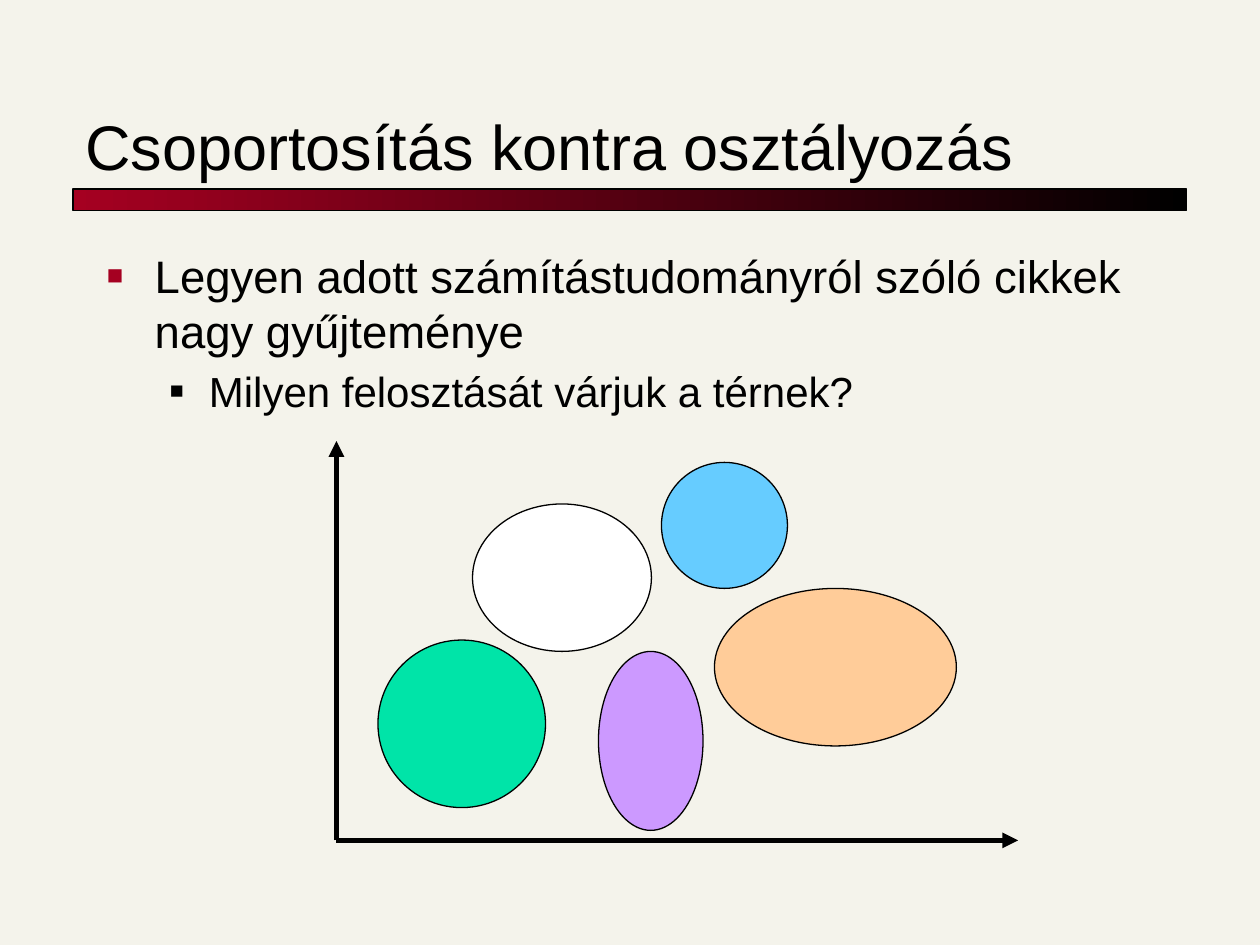
from lxml.etree import SubElement
from pptx import Presentation
from pptx.dml.color import RGBColor
from pptx.enum.shapes import MSO_CONNECTOR, MSO_SHAPE
from pptx.enum.text import MSO_ANCHOR
from pptx.oxml.ns import qn
from pptx.util import Inches, Pt

COLORS = {
    "background": "F4F3EB", "ink": "000000", "accent": "A50021",
    "green": "00E4A8", "white": "FFFFFF", "violet": "CC99FF",
    "peach": "FFCC99", "blue": "66CCFF",
}
FONT = "Arial"
TITLE = "Csoportosítás kontra osztályozás"
# text, level, size, left margin, hanging indent, bullet colour, bullet size %
BULLETS = [
    ("Legyen adott számítástudományról szóló cikkek nagy gyűjteménye",
     0, 26, 0.38, 0.38, "accent", 60),
    ("Milyen felosztását várjuk a térnek?",
     1, 24, 0.81, 0.31, "ink", 55),
]
ORIGIN = (2.67, 6.67)
AXIS_ENDS = [(8.08, 6.67), (2.67, 3.5)]
# colour, left, top, width, height
CLUSTERS = [
    ("green", 3, 5.08, 1.33, 1.33),
    ("white", 3.75, 4, 1.42, 1.17),
    ("violet", 4.75, 5.17, 0.83, 1.42),
    ("peach", 5.67, 4.67, 1.92, 1.25),
    ("blue", 5.25, 3.67, 1, 1),
]


def rgb(name):
    return RGBColor.from_string(COLORS[name])


def inches(*lengths):
    return [Inches(length) for length in lengths]


def outline(shape, width):
    shape.line.color.rgb = rgb("ink")
    shape.line.width = Pt(width)


def add_shape(shapes, preset, box):
    shape = shapes.add_shape(preset, *inches(*box))
    shape.shadow.inherit = False
    outline(shape, 0.75)
    return shape


def add_text_frame(box, anchor):
    frame = slide.shapes.add_textbox(*inches(*box)).text_frame
    frame.word_wrap = True
    frame.vertical_anchor = anchor
    return frame


def add_run(paragraph, text, size):
    run = paragraph.add_run()
    run.text = text
    run.font.name = FONT
    run.font.size = Pt(size)
    run.font.color.rgb = rgb("ink")


def set_bullet(paragraph, margin, hanging, color, percent):
    props = paragraph._p.get_or_add_pPr()
    props.set("marL", str(Inches(margin)))
    props.set("indent", str(-Inches(hanging)))
    bullet_color = SubElement(props, qn("a:buClr"))
    SubElement(bullet_color, qn("a:srgbClr"), val=COLORS[color])
    SubElement(props, qn("a:buSzPct"), val=str(percent * 1000))
    SubElement(props, qn("a:buFont"), typeface=FONT)
    SubElement(props, qn("a:buChar"), char="■")


def add_axis(shapes, end):
    axis = shapes.add_connector(MSO_CONNECTOR.STRAIGHT, *inches(*ORIGIN, *end))
    outline(axis, 3)
    SubElement(axis.line._get_or_add_ln(), qn("a:tailEnd"), type="triangle")
    SubElement(axis._element.spPr, qn("a:effectLst"))


prs = Presentation()
prs.slide_width, prs.slide_height = inches(10, 7.5)
slide = prs.slides.add_slide(prs.slide_layouts[6])
slide.background.fill.solid()
slide.background.fill.fore_color.rgb = rgb("background")

title_bar = add_shape(slide.shapes, MSO_SHAPE.RECTANGLE, (0.58, 1.5, 8.84, 0.17))
title_bar.fill.gradient()
title_bar.fill.gradient_angle = 0
for stop, color, position in zip(title_bar.fill.gradient_stops,
                                 ("accent", "ink"), (0, 1)):
    stop.color.rgb = rgb(color)
    stop.position = position

title = add_text_frame((0.58, 0.42, 8.83, 1.08), MSO_ANCHOR.BOTTOM)
add_run(title.paragraphs[0], TITLE, 36)

body = add_text_frame((0.75, 1.92, 8.5, 5.33), MSO_ANCHOR.TOP)
for index, (text, level, size, *bullet) in enumerate(BULLETS):
    paragraph = body.add_paragraph() if index else body.paragraphs[0]
    paragraph.level = level
    paragraph.space_before = Pt(size * 0.2)
    set_bullet(paragraph, *bullet)
    add_run(paragraph, text, size)

diagram = slide.shapes.add_group_shape().shapes
for axis_end in AXIS_ENDS:
    add_axis(diagram, axis_end)
for color, *box in CLUSTERS:
    cluster = add_shape(diagram, MSO_SHAPE.OVAL, box)
    cluster.fill.solid()
    cluster.fill.fore_color.rgb = rgb(color)

prs.save("out.pptx")
